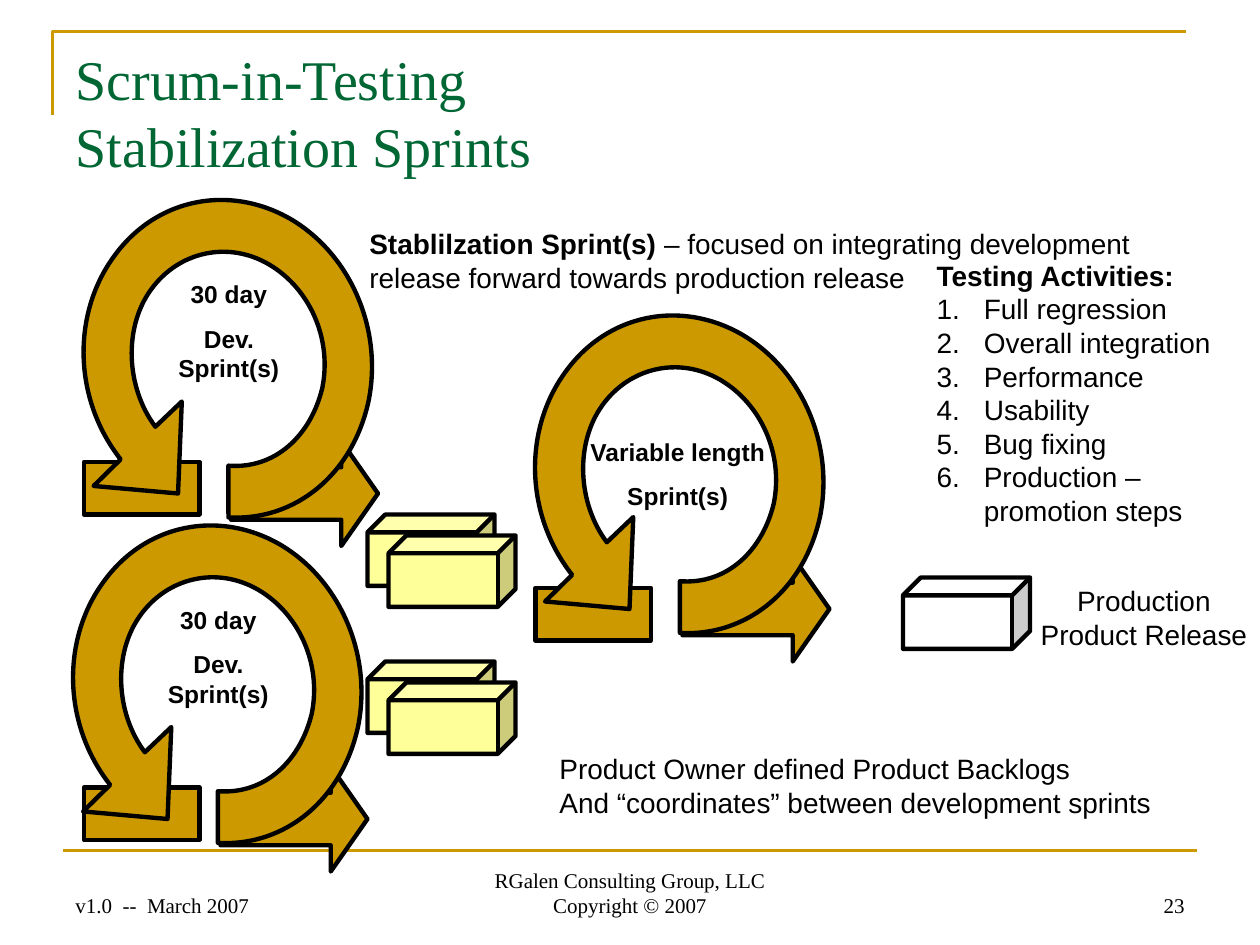
import dataclasses
import math
import pptx
import pptx.util
import pptx.dml.color
import pptx.enum.shapes
import pptx.enum.text
import pptx.oxml.ns
from lxml import etree

Pt = pptx.util.Pt
KIND = pptx.enum.shapes.MSO_SHAPE
SIDE = pptx.enum.text.PP_ALIGN
EDGE = pptx.enum.text.MSO_ANCHOR


@dataclasses.dataclass(frozen=True)
class Theme:
    gold: str = "CC9900"
    green: str = "006633"
    cream: str = "FFFF99"
    white: str = "FFFFFF"
    ink: str = "000000"
    sans: str = "Arial"
    serif: str = "Times New Roman"
    head: int = 32
    text: int = 16
    label: int = 14
    foot: int = 12
    rule: float = 1.5
    edge: float = 2.5


THEME = Theme()
COLS, ROWS = 120, 90
CELL = pptx.util.Inches(10) // COLS

# The ring arrow in grid cells: 2 numbers end a line, 6 numbers end a curve.
RING = [
    (6.8, 21.64),
    (4, 17.9, 3.75, 12.2, 6.4, 8.57),
    (9, 4.97, 13.7, 3.9, 17.6, 6.17),
    (21.5, 8.45, 23.65, 13.25, 22.7, 17.95),
    (21.6, 22.5, 18.2, 25.7, 13.76, 25.35),
    (13.76, 30.28),
    (20.24, 30.64, 25.6, 26.08, 27.1, 19.24),
    (28.5, 12.4, 25.4, 5.2, 19.65, 1.84),
    (13.77, -1.52, 6.8, -0.08, 2.85, 5.44),
    (-1.1, 10.84, -1.1, 18.9, 3.5, 24.75),
    (0.92, 27.28), (8.96, 28), (9.32, 19.24),
]
HUB = (13.7, 15.16)
TILT = 258.2


def cells(*nums):
    return [round(n * CELL) for n in nums]


def tint(name):
    return pptx.dml.color.RGBColor.from_string(name)


def paint(shape, fill, edge=THEME.ink, width=THEME.edge):
    shape.shadow.inherit = False
    if fill:
        shape.fill.solid()
        shape.fill.fore_color.rgb = tint(fill)
    else:
        shape.fill.background()
    shape.line.color.rgb = tint(edge)
    shape.line.width = Pt(width)
    return shape


def block(slide, kind, box, fill):
    return paint(slide.shapes.add_shape(kind, *cells(*box)), fill)


def mark(para, tag, **keys):
    """Set the paragraph's bullet kind."""
    etree.SubElement(para._p.get_or_add_pPr(), pptx.oxml.ns.qn("a:" + tag), **keys)


def write(shape, paras, size=THEME.text, face=THEME.sans, color=THEME.ink, bold=False,
          align=SIDE.LEFT, anchor=EDGE.TOP, gap=0, wrap=True, hang=0):
    """Fill a shape; a paragraph is a string or a list of (text, bold) runs."""
    frame = shape.text_frame
    frame.word_wrap = wrap
    frame.auto_size = pptx.enum.text.MSO_AUTO_SIZE.NONE
    frame.vertical_anchor = anchor
    for i, part in enumerate(paras):
        para = frame.add_paragraph() if i else frame.paragraphs[0]
        if hang:
            pPr = para._p.get_or_add_pPr()
            pPr.set("marL", str(hang))
            pPr.set("indent", str(-hang))
            if i:
                mark(para, "buAutoNum", type="arabicPeriod")
            else:
                mark(para, "buNone")
        para.alignment = align
        para.space_before = Pt(gap if i else 0)
        for text, heavy in [(part, bold)] if isinstance(part, str) else part:
            for j, line in enumerate(text.split("\n")):
                if j:
                    para.add_line_break()
                run = para.add_run()
                run.text = line
                run.font.size = Pt(size)
                run.font.name = face
                run.font.bold = heavy
                run.font.color.rgb = tint(color)


def note(slide, box, paras, **form):
    write(slide.shapes.add_textbox(*cells(*box)), paras, **form)


def place(shape, box):
    shape.left, shape.top, shape.width, shape.height = cells(*box)
    return shape


def draw(slide, spots, close):
    pen = slide.shapes.build_freeform(*spots[0])
    pen.add_line_segments(spots[1:], close=close)
    return pen.convert_to_shape()


def turn(x, y, angle):
    c, s = math.cos(math.radians(angle)), math.sin(math.radians(angle))
    return x * c - y * s, x * s + y * c


def bend(shape):
    """Join each three points of a RING curve into one Bezier segment."""
    qn = pptx.oxml.ns.qn
    lines = iter(list(shape._element.iter(qn("a:lnTo"))))
    for part in RING[1:]:
        first = next(lines)
        if len(part) == 6:
            first.tag = qn("a:cubicBezTo")
            for _ in range(2):
                other = next(lines)
                first.append(other[0])
                other.getparent().remove(other)


def ring(slide, x, y):
    """Draw the ring upright around its hub, then tilt it."""
    hx, hy = HUB
    spots = []
    for part in RING:
        for px, py in zip(part[::2], part[1::2]):
            dx, dy = turn(px - hx, py - hy, -TILT)
            spots.append(cells(x + hx + dx, y + hy + dy))
    shape = paint(draw(slide, spots, True), THEME.gold)
    bend(shape)
    cx, cy = cells(x + hx, y + hy)
    dx = shape.left + shape.width / 2 - cx
    dy = shape.top + shape.height / 2 - cy
    tx, ty = turn(dx, dy, TILT)
    shape.left += round(tx - dx)
    shape.top += round(ty - dy)
    shape.rotation = TILT


def sprint(slide, x, y, base, paras, area, wrap=True):
    """Place one sprint loop; base is its start bar, area its label box."""
    arrow = block(slide, KIND.RIGHT_ARROW, (x + 14, y + 23, 14, 10), THEME.gold)
    arrow.adjustments[1] = 0.35
    block(slide, KIND.RECTANGLE, (*base, 11, 5), THEME.gold)
    ring(slide, x, y)
    dx, dy, wide, high = area
    note(slide, (x + dx, y + dy, wide, high), paras, size=THEME.label, bold=True,
         align=SIDE.CENTER, gap=8.8, wrap=wrap)


def cube(slide, x, y, fill):
    block(slide, KIND.CUBE, (x, y, 12.1, 6.8), fill)


def stack(slide, x, y):
    for step in (0, 2):
        cube(slide, x + step, y + step, THEME.cream)


def border(slide):
    spots = [cells(*spot) for spot in ((5, 11), (5, 3), (113, 3))]
    paint(draw(slide, spots, False), None, THEME.gold, THEME.rule)
    rule = slide.shapes.add_connector(
        pptx.enum.shapes.MSO_CONNECTOR.STRAIGHT, *cells(6, 81, 114, 81))
    rule.line.color.rgb = tint(THEME.gold)
    rule.line.width = Pt(THEME.rule)
    etree.SubElement(rule._element.spPr, pptx.oxml.ns.qn("a:effectLst"))


def footer(slide, y, high):
    for x, wide, text, align in (
            (6, 28, "v1.0  --  March 2007", SIDE.LEFT),
            (41, 38, "RGalen Consulting Group, LLC\nCopyright © 2007", SIDE.CENTER),
            (86, 28, "23", SIDE.RIGHT)):
        note(slide, (x, y, wide, high), [text], size=THEME.foot, face=THEME.serif,
             align=align, anchor=EDGE.BOTTOM)


def main():
    deck = pptx.Presentation()
    deck.slide_width, deck.slide_height = COLS * CELL, ROWS * CELL
    slide = deck.slides.add_slide(deck.slide_layouts[1])
    border(slide)
    write(place(slide.shapes.title, (6, 3.6, 108, 15)),
          ["Scrum-in-Testing\nStabilization Sprints"], size=THEME.head,
          face=THEME.serif, color=THEME.green)
    write(place(slide.placeholders[1], (88, 24, 29, 26.9)),
          [[("Testing Activities:", True)], "Full regression", "Overall integration",
           "Performance", "Usability", "Bug fixing", "Production – promotion steps"],
          hang=cells(4.5)[0])
    note(slide, (34, 21, 83, 7.7),
         [[("Stablilzation Sprint(s)", True),
           (" – focused on integrating development release forward"
            " towards production release", False)]])

    for x, y, base in ((8, 19, (8, 44)), (7, 50, (8, 75))):
        sprint(slide, x, y, base, ["30 day", "Dev. Sprint(s)"], (6, 7, 15.6, 11))
    sprint(slide, 51, 30, (51, 56), ["Variable length", "Sprint(s)"],
           (3.95, 11, 19.2, 8.3), wrap=False)
    for y in (49, 63):
        stack(slide, 35, y)

    cube(slide, 86, 55, THEME.white)
    note(slide, (97.9, 55, 22.1, 7.7), ["Production", "Product Release"],
         align=SIDE.CENTER, wrap=False)
    note(slide, (52.1, 71, 58.7, 7.7),
         ["Product Owner defined Product Backlogs",
          "And “coordinates” between development sprints"], wrap=False)
    footer(slide, 82, 6)
    deck.save("out.pptx")


if __name__ == "__main__":
    main()
